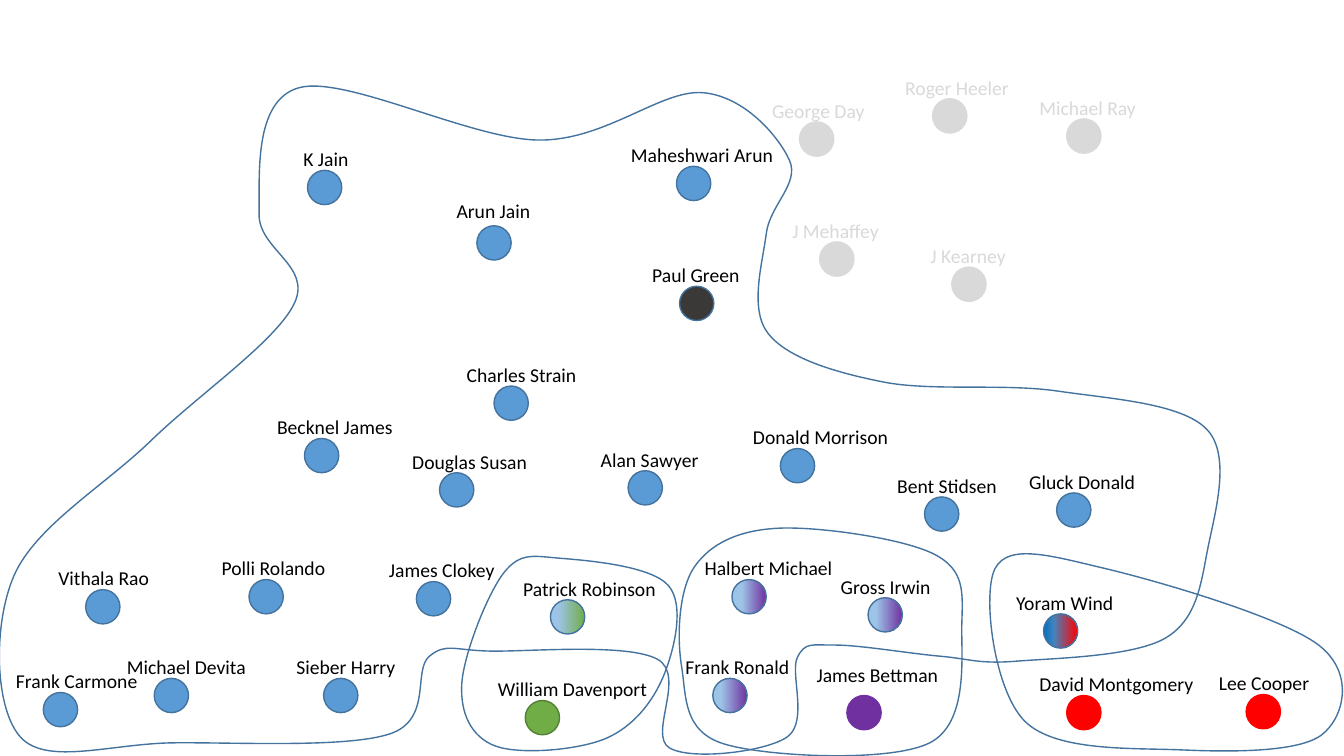
from copy import deepcopy
from lxml.etree import SubElement as Sub
from pptx import Presentation
from pptx.dml.color import RGBColor as RGB
from pptx.enum.shapes import MSO_SHAPE as Shape
from pptx.enum.text import MSO_AUTO_SIZE as Fit
from pptx.oxml.ns import qn
from pptx.util import Inches, Pt

DOT, TALL = 0.34, 0.34   # dot diameter, label height
EDGE = "43739E"
FONT = {"name": "Calibri", "size": Pt(14)}
FRAME = {"word_wrap": False, "auto_size": Fit.SHAPE_TO_FIT_TEXT}

# Style: fill (one colour, or stops of a gradient), line, text
STYLES = {
    "hub": ("3B3838", EDGE, "000000"),
    "blue": ("5B9BD5", EDGE, "000000"),
    "plum": ("7030A0", "7030A0", "000000"),
    "green": ("70AD47", "538035", "000000"),
    "red": ("FF0000", "FF0000", "000000"),
    "grey": ("D9D9D9", "D9D9D9", "D9D9D9"),
    "half plum": ([(0, "9DC3E6"), (0.29, "9DC3E6"), (1, "7030A0")], EDGE, "000000"),
    "to plum": ([(0, "9DC3E6"), (0.24, "9DC3E6"), (1, "7030A0")], EDGE, "000000"),
    "to green": ([(0, "9DC3E6"), (0.24, "9DC3E6"), (1, "70AD47")], EDGE, "000000"),
    "to red": ([(0, "0070C0"), (0.31, "4583BB"), (1, "FF0000")], EDGE, "000000"),
}

# Name, dot left, dot top, label width, then the label's offset if unusual
PEOPLE = {
    "hub": [("Paul Green", 6.74, 2.84, 1.08)],
    "blue": [
        ("Becknel James", 3.02, 4.35, 1.36),
        ("Donald Morrison", 7.74, 4.45, 1.56),
        ("K Jain", 3.05, 1.69, 0.65, -0.14),
        ("Charles Strain", 4.9, 3.83, 1.3),
        ("Bent Stidsen", 9.17, 4.93, 1.2),
        ("Alan Sawyer", 6.23, 4.67, 1.18),
        ("Gluck Donald", 10.48, 4.89, 1.26),
        ("Douglas Susan", 4.36, 4.69, 1.35),
        ("Maheshwari Arun", 6.71, 1.65, 1.63, -0.55),
        ("Arun Jain", 4.73, 2.24, 0.94, -0.3, -0.32),
        ("Polli Rolando", 2.47, 5.75, 1.24),
        ("Sieber Harry", 3.21, 6.73, 1.19),
        ("James Clokey", 4.13, 5.77, 1.26),
        ("Frank Carmone", 0.43, 6.87, 1.42),
        ("Michael Devita", 1.53, 6.73, 1.4),
        ("Vithala Rao", 0.85, 5.85, 1.11),
    ],
    "half plum": [("Halbert Michael", 7.26, 5.75, 1.48)],
    "to plum": [
        ("Gross Irwin", 8.61, 5.93, 1.1),
        ("Frank Ronald", 7.07, 6.73, 1.24),
    ],
    "to green": [("Patrick Robinson", 5.46, 5.95, 1.53)],
    "to red": [("Yoram Wind", 10.35, 6.09, 1.17)],
    "plum": [("James Bettman", 8.4, 6.9, 1.42, -0.4, -0.37)],
    "green": [("William Davenport", 5.21, 6.95, 1.7)],
    "red": [
        ("David Montgomery", 10.58, 6.9, 1.74),
        ("Lee Cooper", 12.36, 6.89, 1.11),
    ],
    "grey": [
        ("J Mehaffey", 8.13, 2.4, 1.07),
        ("Roger Heeler", 9.25, 0.98, 1.24),
        ("J Kearney", 9.44, 2.65, 0.96, -0.31),
        ("George Day", 7.93, 1.21, 1.13),
        ("Michael Ray", 10.58, 1.18, 1.17),
    ],
}

# Box of each closed curve, and the points that it runs through
RINGS = [
    ((0, 0.85, 12.1, 6.63),
     [(8.28, 6.4), (7.91, 6.52), (7.81, 7.31), (6.64, 7.42), (6.52, 6.54),
      (4.88, 6.46), (4.26, 6.51), (3.87, 7.28), (1.72, 7.37), (0.21, 7.32),
      (0.14, 5.71), (1.5, 4.37), (2.92, 3.01), (2.57, 2.12), (2.97, 0.87),
      (5.34, 1.39), (6.97, 0.92), (7.83, 1.59), (7.6, 2.32), (7.62, 3.31),
      (8.76, 3.79), (10.49, 3.88), (11.97, 4.26), (11.98, 5.44),
      (11.56, 6.33), (10.08, 6.56), (9.32, 6.51)]),
    ((9.81, 5.5, 3.5, 1.95),
     [(9.87, 5.64), (10.17, 7.16), (11.73, 7.44), (13.11, 7.29),
      (13.08, 6.4), (10.96, 5.64)]),
    ((6.73, 5.24, 2.81, 2.25),
     [(6.89, 5.62), (6.76, 6.61), (7.18, 7.38), (9.22, 7.37), (9.54, 6.19),
      (9.27, 5.5), (7.72, 5.24)]),
    ((4.58, 5.52, 2.14, 1.93),
     [(5.57, 5.54), (5, 5.68), (4.58, 6.79), (4.91, 7.4), (6, 7.33),
      (6.58, 6.71), (6.63, 5.81)]),
]


def tint(code):
    return RGB.from_string(code)


def edge(shape, code):
    shape.shadow.inherit = False
    shape.line.color.rgb = tint(code)
    shape.line.width = Pt(1)


def blend(shape, stops):
    """Fill the shape from left to right through three stops."""
    fill = shape.fill
    fill.gradient()
    fill.gradient_angle = 0
    first = shape._element.spPr.find(".//" + qn("a:gs"))
    first.addnext(deepcopy(first))
    for stop, (place, code) in zip(fill.gradient_stops, stops):
        stop.position = place
        stop.color.rgb = tint(code)


def bend(knots, i):
    """Two handles and the end of the smooth curve that leaves knot i."""
    quad = [knots[(i + k) % len(knots)] for k in (-1, 0, 1, 2)]
    return list(zip(*[(b + (c - a) / 6, c - (d - b) / 6, c)
                      for a, b, c, d in zip(*quad)]))


def ring(shapes, box, knots):
    left, top, wide, high = box
    draft = shapes.build_freeform(Inches(left), Inches(top))
    draft.add_line_segments([(Inches(left + wide), Inches(top + high))])
    shape = draft.convert_to_shape()
    # Swap the diagonal of the box for curves
    route = shape._element.spPr.find(".//" + qn("a:path"))
    for part in list(route):
        route.remove(part)
    parts = [("a:moveTo", knots[:1])]
    parts += [("a:cubicBezTo", bend(knots, i)) for i in range(len(knots))]
    for tag, dots in parts:
        part = Sub(route, qn(tag))
        for x, y in dots:
            Sub(part, qn("a:pt"), x=str(Inches(x - left)), y=str(Inches(y - top)))
    Sub(route, qn("a:close"))
    shape.fill.background()
    edge(shape, EDGE)


def person(shapes, box, style, name, wide, dx=-0.37, dy=-0.28):
    fill, line, ink = STYLES[style]
    left, top = box
    group = shapes.add_group_shape().shapes
    # Dot
    dot = group.add_shape(Shape.OVAL, Inches(left), Inches(top),
                          Inches(DOT), Inches(DOT))
    if isinstance(fill, str):
        dot.fill.solid()
        dot.fill.fore_color.rgb = tint(fill)
    else:
        blend(dot, fill)
    edge(dot, line)
    # Label
    label = group.add_textbox(Inches(left + dx), Inches(top + dy),
                              Inches(wide), Inches(TALL))
    frame = label.text_frame
    for key, value in FRAME.items():
        setattr(frame, key, value)
    run = frame.paragraphs[0].add_run()
    run.text = name
    for key, value in FONT.items():
        setattr(run.font, key, value)
    run.font.color.rgb = tint(ink)


def main():
    deck = Presentation()
    deck.slide_width, deck.slide_height = Inches(13.33), Inches(7.5)
    shapes = deck.slides.add_slide(deck.slide_layouts[6]).shapes
    # Rings, then the people over them
    for box, knots in RINGS:
        ring(shapes, box, knots)
    for style, crowd in PEOPLE.items():
        for name, x, y, *rest in crowd:
            person(shapes, (x, y), style, name, *rest)
    deck.save("out.pptx")


if __name__ == "__main__":
    main()
